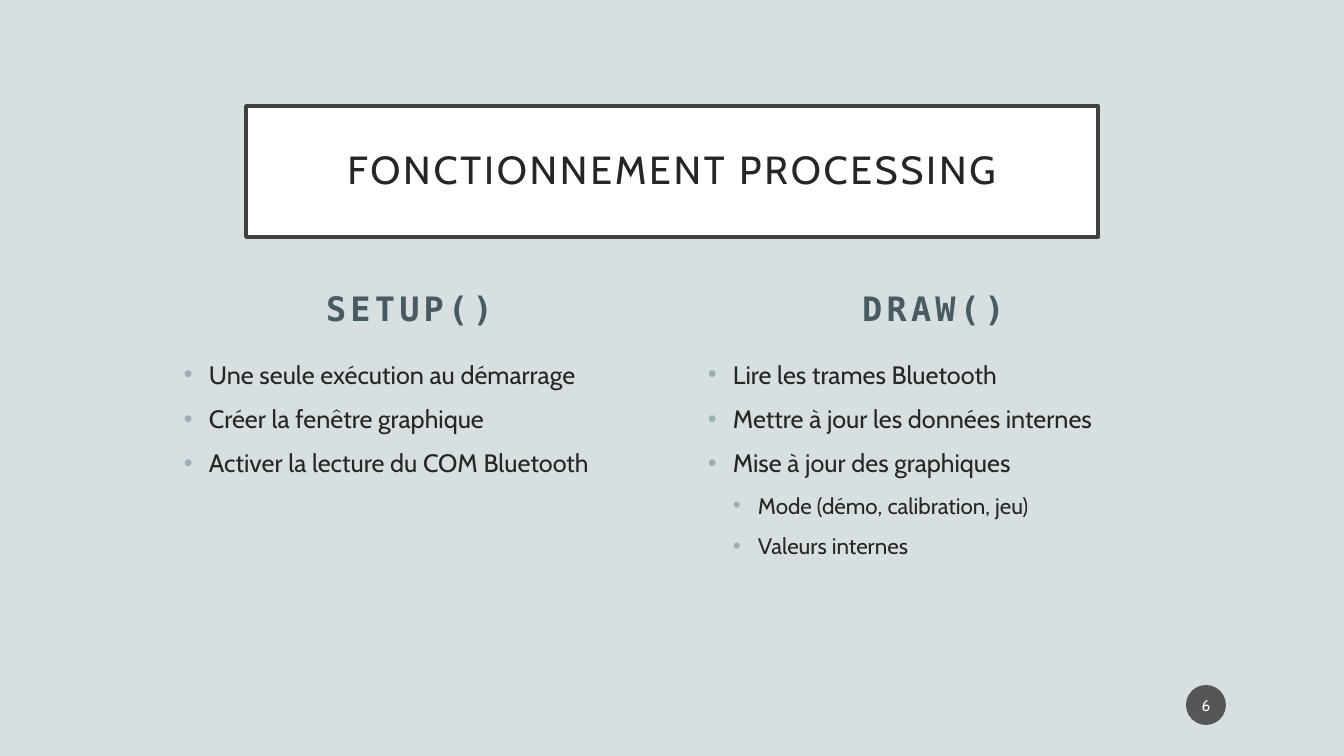
from lxml import etree
from pptx import Presentation
from pptx.dml.color import RGBColor
from pptx.enum.shapes import MSO_SHAPE
from pptx.enum.text import MSO_ANCHOR, PP_ALIGN
from pptx.oxml.ns import qn
from pptx.util import Pt

EMU_PER_PX = 914400 / 100.8
RECTANGLE, OVAL = MSO_SHAPE.RECTANGLE, MSO_SHAPE.OVAL
TOP, MIDDLE, BOTTOM = MSO_ANCHOR.TOP, MSO_ANCHOR.MIDDLE, MSO_ANCHOR.BOTTOM
CENTER = PP_ALIGN.CENTER

BODY_FONT, CODE_FONT = "Cabin", "DejaVu Sans Mono"
BACKGROUND, INK, WHITE = "D7DFE1", "262626", "FFFFFF"
BORDER, HEADING, BULLET, BADGE = "404040", "475B61", "9BAFB5", "1D1D1D"

INDENT = 25
COLUMNS = [
    ("SETUP()", [
        (0, "Une seule exécution au démarrage"),
        (0, "Créer la fenêtre graphique"),
        (0, "Activer la lecture du COM Bluetooth"),
    ]),
    ("DRAW()", [
        (0, "Lire les trames Bluetooth"),
        (0, "Mettre à jour les données internes"),
        (0, "Mise à jour des graphiques"),
        (1, "Mode (démo, calibration, jeu)"),
        (1, "Valeurs internes"),
    ]),
]


def px(length):
    return round(length * EMU_PER_PX)


def rgb(color):
    return RGBColor.from_string(color)


def set_frame(frame, anchor, margin_x=10, margin_y=5):
    frame.word_wrap = True
    frame.vertical_anchor = anchor
    frame.margin_left = frame.margin_right = px(margin_x)
    frame.margin_top = frame.margin_bottom = px(margin_y)


def style_runs(paragraph, size, color, font=BODY_FONT, bold=False, tracking=0):
    """Format every run; tracking is letter spacing in points."""
    for run in paragraph.runs:
        run.font.size = Pt(size)
        run.font.name = font
        run.font.bold = bold
        run.font.color.rgb = rgb(color)
        if tracking:
            run.font._element.set("spc", str(tracking * 100))


def add_bullet(paragraph, level):
    properties = paragraph._p.get_or_add_pPr()
    properties.set("marL", str(px(INDENT * (level + 1))))
    properties.set("indent", str(-px(INDENT)))
    bullet_color = etree.SubElement(properties, qn("a:buClr"))
    etree.SubElement(bullet_color, qn("a:srgbClr"), val=BULLET)
    etree.SubElement(properties, qn("a:buFont"), typeface="Arial")
    etree.SubElement(properties, qn("a:buChar"), char="•")


def add_title(slide, left, top, width, height):
    banner = slide.shapes.add_shape(RECTANGLE, px(left), px(top), px(width), px(height))
    banner.shadow.inherit = False
    banner.fill.solid()
    banner.fill.fore_color.rgb = rgb(WHITE)
    banner.line.color.rgb = rgb(BORDER)
    banner.line.width = Pt(2.5)
    set_frame(banner.text_frame, MIDDLE, 20, 20)
    title = banner.text_frame.paragraphs[0]
    title.text = "FONCTIONNEMENT PROCESSING"
    title.alignment = CENTER
    title.line_spacing = 0.9
    style_runs(title, 28, INK, tracking=2)


def add_column(slide, left, top, width, height, function_name, steps):
    """Function name at the top of the box, its bulleted steps below."""
    heading_height, gap = 78, 21
    heading_box = slide.shapes.add_textbox(px(left), px(top), px(width), px(heading_height))
    set_frame(heading_box.text_frame, BOTTOM)
    heading = heading_box.text_frame.paragraphs[0]
    heading.text = function_name
    heading.alignment = CENTER
    heading.space_before = Pt(10)
    style_runs(heading, 24, HEADING, CODE_FONT, bold=True, tracking=3)

    offset = heading_height + gap
    steps_box = slide.shapes.add_textbox(
        px(left), px(top + offset), px(width), px(height - offset))
    frame = steps_box.text_frame
    set_frame(frame, TOP)
    frame.text = "\n".join(text for _, text in steps)
    for step, (level, _) in zip(frame.paragraphs, steps):
        step.level = level
        step.space_before = Pt(10)
        add_bullet(step, level)
        style_runs(step, 18 - 2 * level, INK)


def add_page_badge(slide, left, top, diameter, number):
    badge = slide.shapes.add_shape(OVAL, px(left), px(top), px(diameter), px(diameter))
    badge.shadow.inherit = False
    badge.fill.solid()
    badge.fill.fore_color.rgb = rgb(BADGE)
    fill_color = badge._element.spPr.find(qn("a:solidFill")).find(qn("a:srgbClr"))
    etree.SubElement(fill_color, qn("a:alpha"), val="70000")
    badge.line.fill.background()
    set_frame(badge.text_frame, MIDDLE, 2, 5)
    label = badge.text_frame.paragraphs[0]
    label.text = str(number)
    label.alignment = CENTER
    style_runs(label, 11, WHITE)


def main():
    deck = Presentation()
    deck.slide_width, deck.slide_height = px(1344), px(756)
    slide = deck.slides.add_slide(deck.slide_layouts[6])
    slide.background.fill.solid()
    slide.background.fill.fore_color.rgb = rgb(BACKGROUND)

    for index, (function_name, steps) in enumerate(COLUMNS):
        add_column(slide, 174 + 524 * index, 255, 471, 385, function_name, steps)
    add_title(slide, 246, 106, 852, 131)
    add_page_badge(slide, 1186, 685, 40, 6)
    deck.save("out.pptx")


if __name__ == "__main__":
    main()
